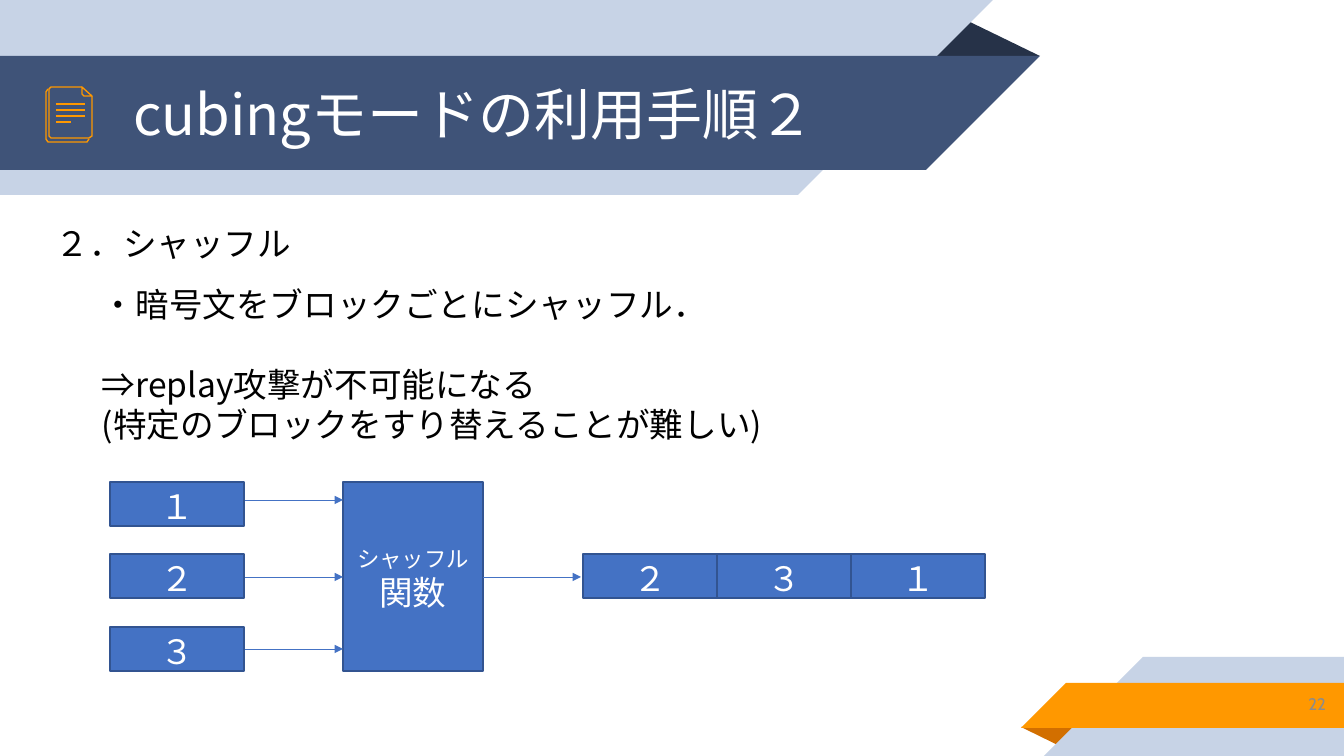
from lxml.etree import SubElement
from pptx import Presentation
from pptx.dml.color import RGBColor
from pptx.enum.shapes import MSO_CONNECTOR, MSO_SHAPE
from pptx.enum.text import MSO_ANCHOR, MSO_AUTO_SIZE, PP_ALIGN
from pptx.oxml.ns import qn
from pptx.util import Pt

UNIT = 12192000 / 1344
SANS = "Noto Sans CJK JP"
HUES = {
    "pale": "C7D3E6", "navy": "3F5378", "night": "263248",
    "gold": "FF9800", "rust": "D26F00", "blue": "4472C4",
    "edge": "325491", "white": "FFFFFF", "black": "000000", "gray": "8C8C8C",
}


def emu(*nums):
    return [round(n * UNIT) for n in nums]


def hue(name):
    return RGBColor.from_string(HUES[name])


class Deck:
    """Draw styled elements on one slide, with lengths in px."""

    def __init__(self):
        self.prs = Presentation()
        self.prs.slide_width, self.prs.slide_height = emu(1344, 756)
        self.slide = self.prs.slides.add_slide(self.prs.slide_layouts[1])
        self.items = self.slide.shapes

    def shape(self, kind, box, fill, line=None, flip=None):
        item = self.items.add_shape(kind, *emu(*box))
        item.shadow.inherit = False
        item.fill.solid()
        item.fill.fore_color.rgb = hue(fill)
        if line:
            item.line.color.rgb = hue(line)
            item.line.width = Pt(1)
        else:
            item.line.fill.background()
        if flip:
            item._element.spPr.xfrm.set(flip, "1")
        return item

    def band(self, left, top, width, tall, fill, flip):
        self.shape(MSO_SHAPE.RECTANGLE, (left, top, width, tall), fill)
        side = left + width if flip == "flipV" else left - tall
        self.shape(MSO_SHAPE.RIGHT_TRIANGLE, (side, top, tall, tall), fill, flip=flip)

    def fold(self, box, fill, turn=0):
        item = self.shape(MSO_SHAPE.ISOSCELES_TRIANGLE, box, fill)
        item.adjustments[0] = 0.32
        item.rotation = turn

    def text(self, item, rows, color, align=PP_ALIGN.LEFT, face=SANS,
             anchor=MSO_ANCHOR.MIDDLE, pad=(13, 0, 13, 0)):
        frame = item.text_frame
        frame.word_wrap = True
        frame.auto_size = MSO_AUTO_SIZE.NONE
        frame.vertical_anchor = anchor
        (frame.margin_left, frame.margin_top,
         frame.margin_right, frame.margin_bottom) = emu(*pad)
        for i, (words, size, gap) in enumerate(rows):
            para = frame.add_paragraph() if i else frame.paragraphs[0]
            para.text = words
            para.alignment = align
            para.line_spacing = Pt(round(size * 1.19, 1))
            para.space_before = Pt(gap)
            props = para._p.get_or_add_pPr()
            props.set("marL", "0")
            props.set("indent", "0")
            SubElement(props, qn("a:buNone"))
            para.font.size = Pt(size)
            para.font.color.rgb = hue(color)
            para.font.name = face
            SubElement(props.find(qn("a:defRPr")), qn("a:ea")).set("typeface", face)

    def holder(self, index, box):
        item = self.slide.placeholders[index]
        item.left, item.top, item.width, item.height = emu(*box)
        return item

    def label(self, box):
        return self.items.add_textbox(*emu(*box))

    def block(self, box, rows):
        item = self.shape(MSO_SHAPE.RECTANGLE, box, "blue", "edge")
        self.text(item, rows, "white", PP_ALIGN.CENTER, pad=(13, 4, 13, 0))

    def line(self, start, end, color, width, arrow=False):
        item = self.items.add_connector(MSO_CONNECTOR.STRAIGHT, *emu(*start, *end))
        item.line.color.rgb = hue(color)
        item.line.width = Pt(width)
        if arrow:
            SubElement(item.line._get_or_add_ln(), qn("a:tailEnd")).set("type", "triangle")
        SubElement(item._element.spPr, qn("a:effectLst"))

    def trace(self, spots, close=False):
        pen = self.items.build_freeform(*spots[0], scale=UNIT)
        pen.add_line_segments(spots[1:], close=close)
        item = pen.convert_to_shape()
        item.shadow.inherit = False
        item.fill.background()
        item.line.color.rgb = hue("gold")
        item.line.width = Pt(0.96)


def main():
    deck = Deck()
    deck.fold((925, 18, 115, 38), "night")
    deck.band(0, 0, 798, 195, "pale", "flipV")
    deck.band(0, 56, 926, 114, "navy", "flipV")
    deck.fold((1021, 727, 57, 19), "rust", 180)
    deck.band(1143, 657, 201, 99, "pale", "flipH")
    deck.band(1066, 683, 278, 45, "gold", "flipH")

    title = deck.holder(0, (120, 57, 773, 113))
    body = deck.holder(1, (92, 279, 801, 173))
    for item in (title, body):
        deck.items._spTree.append(item._element)
    deck.text(title, [("cubingモードの利用手順２", 40, 0)], "white")
    deck.text(deck.label((1120, 681, 219, 46)), [("22", 12, 0)], "gray",
              PP_ALIGN.RIGHT, "Cabin")

    deck.trace([(89, 139), (87, 142), (48, 142), (46, 139), (46, 92), (48, 89)])
    deck.trace([(92, 96), (92, 136), (89, 138), (51, 138), (49, 136),
                (49, 89), (51, 87), (82, 87)])
    deck.trace([(82, 87), (92, 96), (84, 96), (82, 94)], close=True)
    for i, end in enumerate((85, 85, 85, 71)):
        y = 104 + 6 * i
        deck.line((56, y), (end, y), "gold", 0.96)

    top = {"anchor": MSO_ANCHOR.TOP, "pad": (10, 5, 10, 5)}
    deck.text(deck.label((46, 218, 1048, 50)), [("２．シャッフル", 24, 0)], "black", **top)
    deck.text(body, [
        ("・暗号文をブロックごとにシャッフル．", 24, 0),
        ("⇒replay攻撃が不可能になる", 24, 28.6),
        ("(特定のブロックをすり替えることが難しい)", 24, 0),
    ], "black", **top)

    for i, (before, after) in enumerate(zip("１２３", "２３１")):
        deck.block((110, 482 + 145 * i // 2, 134, 44), [(before, 24, 0)])
        deck.block((583 + 134 * i, 554, 134, 44), [(after, 24, 0)])
    deck.block((343, 482, 140, 189), [("シャッフル", 16, 0), ("関数", 24, 0)])
    for x, y in ((245, 500), (245, 577), (245, 649), (483, 577)):
        deck.line((x, y), (x + 98, y), "blue", 0.5, arrow=True)

    deck.prs.save("out.pptx")


if __name__ == "__main__":
    main()
